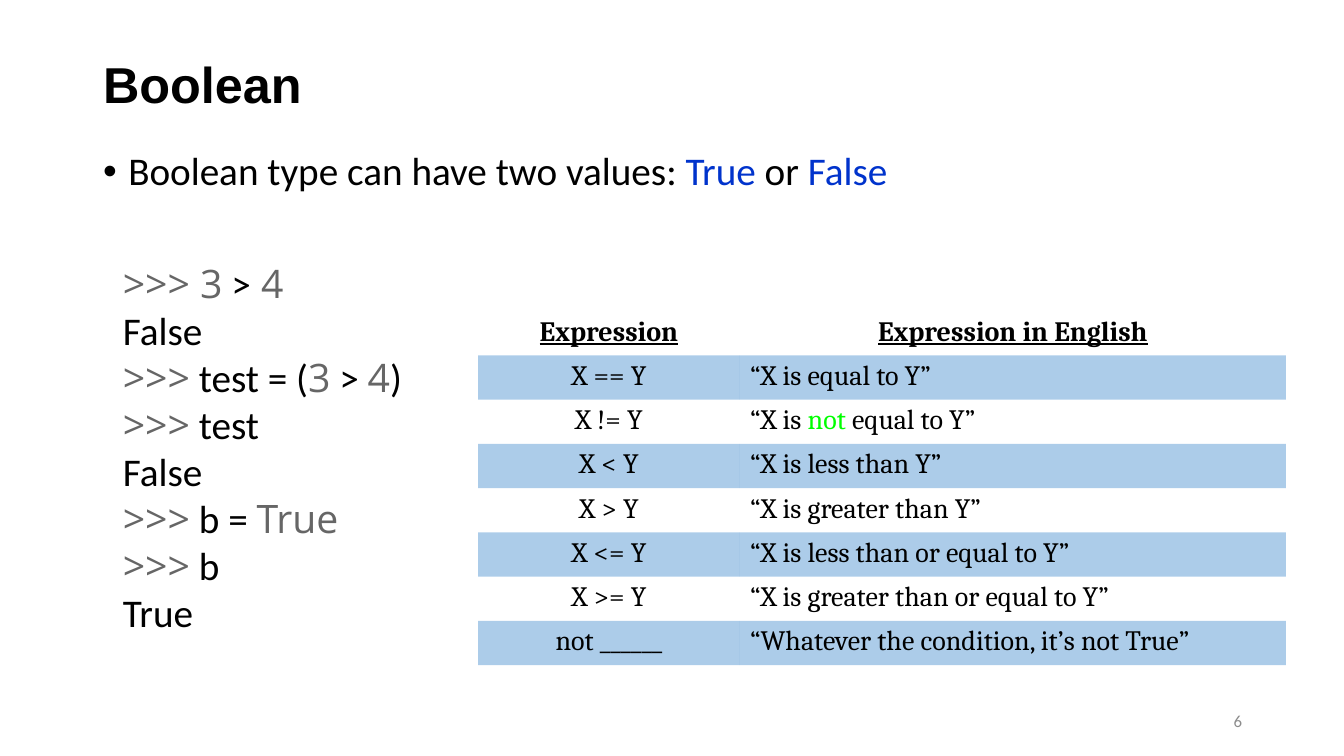
from lxml import etree
from pptx import Presentation
from pptx.dml.color import RGBColor
from pptx.enum.text import MSO_ANCHOR, MSO_AUTO_SIZE, PP_ALIGN
from pptx.oxml.ns import qn
from pptx.util import Emu, Pt

MIDDLE, TOP = MSO_ANCHOR.MIDDLE, MSO_ANCHOR.TOP
LEFT, CENTER, RIGHT = PP_ALIGN.LEFT, PP_ALIGN.CENTER, PP_ALIGN.RIGHT
NO_FIT = MSO_AUTO_SIZE.NONE
BLACK = RGBColor(0, 0, 0)
WHITE = RGBColor(255, 255, 255)
BLUE = RGBColor(0x00, 0x33, 0xCC)
GREEN = RGBColor(0, 255, 0)
GRAY = RGBColor(0x66, 0x66, 0x66)
PALE = RGBColor(0x8C, 0x8C, 0x8C)
BAND = RGBColor(0x5B, 0x9B, 0xD5)
PLAIN_TABLE = "{2D5ABB26-0587-4C30-8999-92F81FD0307C}"
SCALE = 914400 / 100.8


def box(*sizes):
    return [Emu(round(size * SCALE)) for size in sizes]


def write(para, runs, size, font, align=LEFT):
    """Fill a paragraph; each run is (text, colour) or (text, colour, font)."""
    para.alignment = align
    para.font.size = Pt(size)
    para.font.name = font
    for text, color, *face in runs:
        run = para.add_run()
        run.text = text
        run.font.color.rgb = color
        if face:
            run.font.name = face[0]


deck = Presentation()
deck.slide_width, deck.slide_height = box(1344, 756)
slide = deck.slides.add_slide(deck.slide_layouts[1])
shapes = slide.shapes

# Title and bullet
title, body = slide.placeholders
for holder, place, anchor in (
    (title, (93, 40, 1159, 95), MIDDLE),
    (body, (93, 147, 1186, 572), TOP),
):
    holder.left, holder.top, holder.width, holder.height = box(*place)
    holder.text_frame.auto_size = NO_FIT
    holder.text_frame.vertical_anchor = anchor
    holder.text_frame.paragraphs[0].line_spacing = 0.9

head = title.text_frame.paragraphs[0]
write(head, [("Boolean", BLACK)], 36, "Arial")
head.font.bold = True

point = body.text_frame.paragraphs[0]
write(point, [("Boolean type can have two values: ", BLACK), ("True", BLUE),
              (" or ", BLACK), ("False", BLUE)], 28, "Calibri")
point.space_before = Pt(10)
props = point._p.get_or_add_pPr()
props.set("marL", "228600")
props.set("indent", "-228600")

# Slide number
number = shapes.add_textbox(*box(950, 701, 302, 40)).text_frame
number.word_wrap = True
number.vertical_anchor = MIDDLE
write(number.paragraphs[0], [("6", PALE)], 12, "Calibri", RIGHT)

# Console session: gray marks prompts and literals
CODE = [
    [(">>> 3", GRAY), (" >", BLACK), (" 4", GRAY)],
    [("False", BLACK)],
    [(">>>", GRAY), (" test = (", BLACK), ("3", GRAY), (" > ", BLACK),
     ("4", GRAY), (")", BLACK)],
    [(">>>", GRAY), (" test", BLACK)],
    [("False", BLACK)],
    [(">>>", GRAY), (" b = ", BLACK), ("True", GRAY)],
    [(">>>", GRAY), (" b", BLACK)],
    [("True", BLACK)],
]
code = shapes.add_textbox(*box(113, 254, 315, 390)).text_frame
code.word_wrap = True
for i, line in enumerate(CODE):
    para = code.add_paragraph() if i else code.paragraphs[0]
    runs = [(text, color, "Open Sans" if color == GRAY else "Calibri")
            for text, color in line]
    write(para, runs, 28, "Calibri")

# Expression table
ROWS = [
    ("Expression", [("Expression in English", BLACK)]),
    ("X == Y", [("“X is equal to Y”", BLACK)]),
    ("X != Y", [("“X is ", BLACK), ("not", GREEN), (" equal to Y”", BLACK)]),
    ("X < Y", [("“X is less than Y”", BLACK)]),
    ("X > Y", [("“X is greater than Y”", BLACK)]),
    ("X <= Y", [("“X is less than or equal to Y”", BLACK)]),
    ("X >= Y", [("“X is greater than or equal to Y”", BLACK)]),
    ("not ______", [("“Whatever the condition, it’s not True”", BLACK)]),
]
table = shapes.add_table(len(ROWS), 2, *box(478, 311, 808, 354)).table
table._tbl.tblPr.find(qn("a:tableStyleId")).text = PLAIN_TABLE
table.columns[0].width, table.columns[1].width = box(262, 546)
for r, (term, words) in enumerate(ROWS):
    for c, runs in enumerate(([(term, BLACK)], words)):
        cell = table.cell(r, c)
        para = cell.text_frame.paragraphs[0]
        write(para, runs, 20, "Cambria", LEFT if r and c else CENTER)
        para.font.bold = para.font.underline = r == 0
        if r % 2:
            cell.fill.solid()
            cell.fill.fore_color.rgb = BAND
            tint = cell._tc.tcPr.find(".//" + qn("a:srgbClr"))
            etree.SubElement(tint, qn("a:alpha")).set("val", "50000")
        elif r == 0:
            cell.fill.solid()
            cell.fill.fore_color.rgb = WHITE
        else:
            cell.fill.background()

deck.save("out.pptx")
